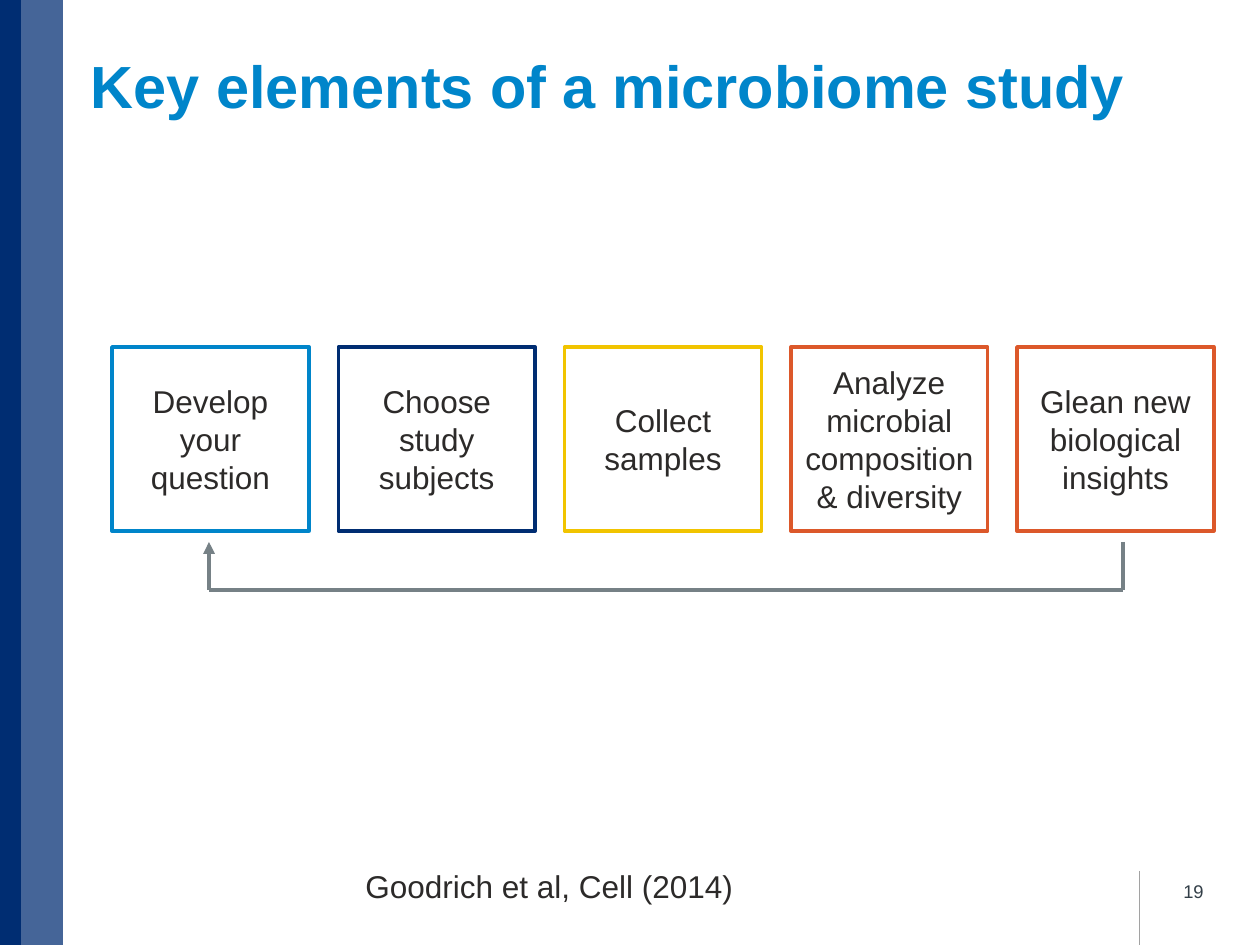
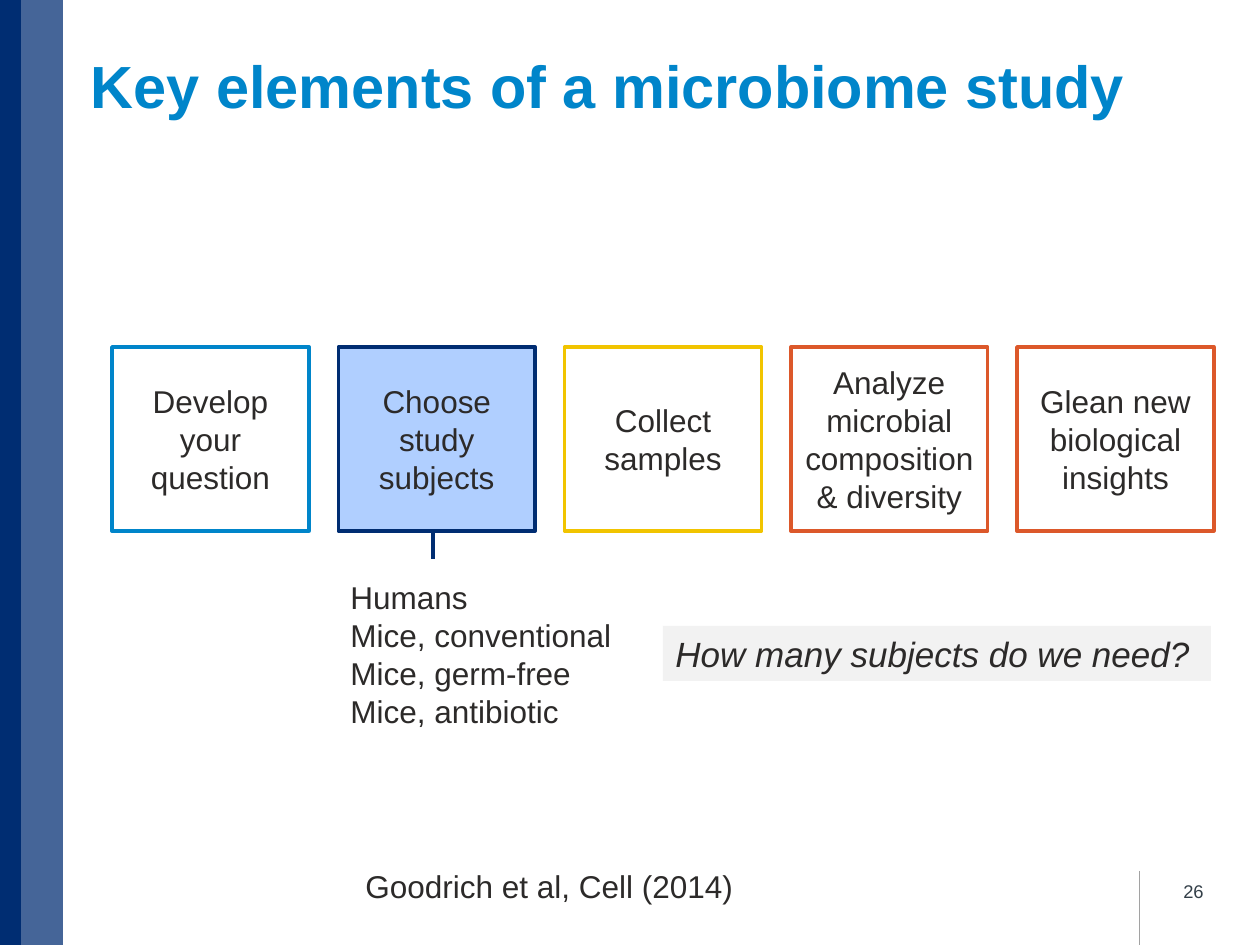
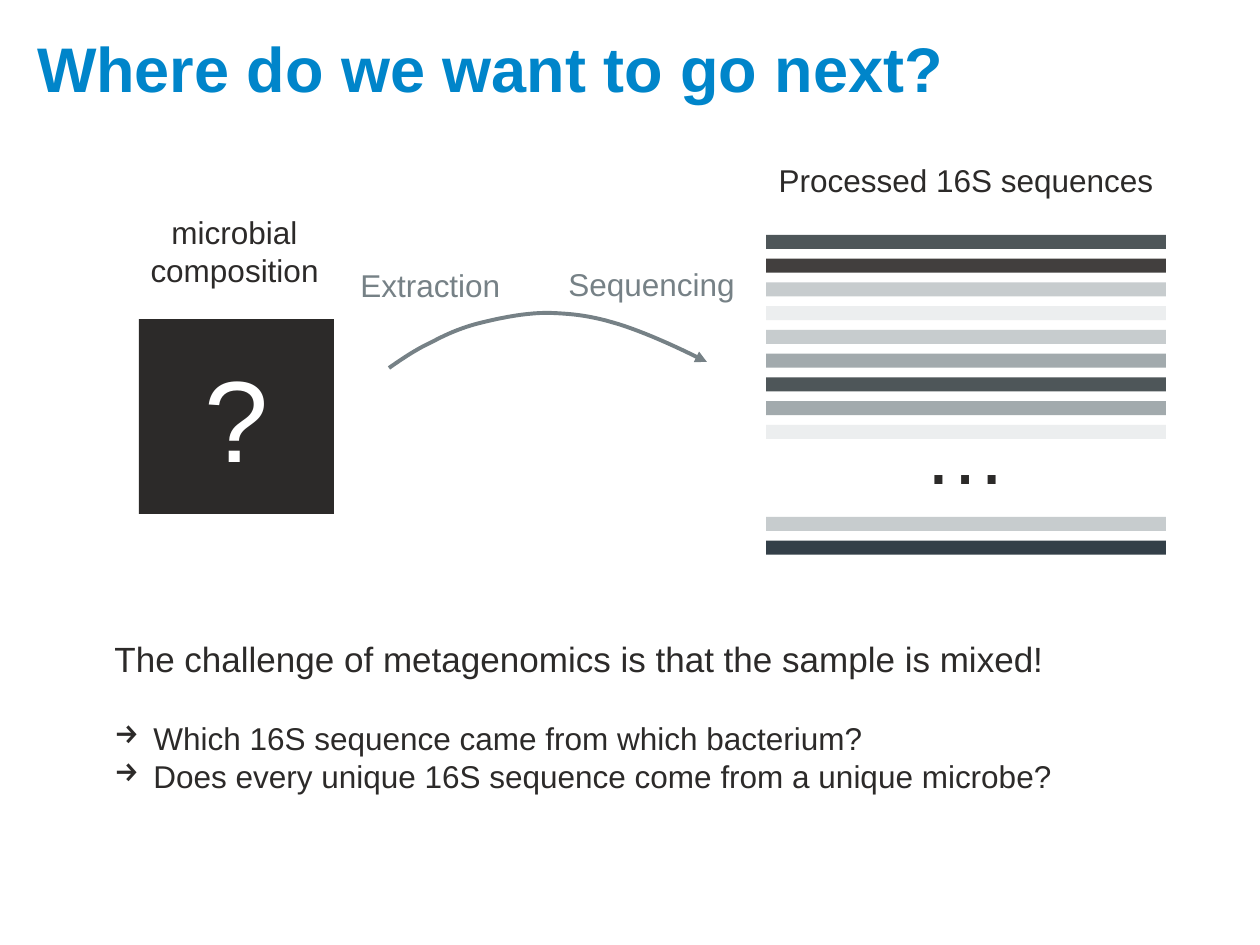
"""Build three slides on the design of a microbiome study."""
import pptx
import pptx.dml.color
import pptx.enum.dml
import pptx.enum.shapes
import pptx.enum.text
import pptx.oxml.ns
import pptx.util
from lxml import etree

RGB = pptx.dml.color.RGBColor
ALIGN = pptx.enum.text.PP_ALIGN
ANCHOR = pptx.enum.text.MSO_ANCHOR
RECTANGLE = pptx.enum.shapes.MSO_SHAPE.RECTANGLE
STRAIGHT = pptx.enum.shapes.MSO_CONNECTOR.STRAIGHT
qn = pptx.oxml.ns.qn
Pt = pptx.util.Pt

FONT = "Arial"
BLUE = RGB(0x00, 0x85, 0xCA)
NAVY = RGB(0x00, 0x2D, 0x72)
GOLD = RGB(0xF1, 0xC4, 0x00)
ORANGE = RGB(0xDC, 0x58, 0x2A)
PALE_BLUE = RGB(0xB0, 0xCF, 0xFF)
INK = RGB(0x2C, 0x2A, 0x29)
SLATE = RGB(0x33, 0x3F, 0x48)
GRAY = RGB(0x76, 0x81, 0x86)
RULE_GRAY = RGB(0xA2, 0xA2, 0xA2)
PANEL = RGB(0xF2, 0xF2, 0xF2)
WHITE = RGB(0xFF, 0xFF, 0xFF)
DARK = RGB(0x4E, 0x56, 0x59)
CHARCOAL = RGB(0x42, 0x3F, 0x3E)
SILVER = RGB(0xC7, 0xCC, 0xCE)
MIST = RGB(0xEC, 0xEE, 0xEF)
STEEL = RGB(0xA2, 0xAA, 0xAD)

STUDY_TITLE = "Key elements of a microbiome study"
CITATION = "Goodrich et al, Cell (2014)"
STEPS = [
    ("Develop your question", BLUE),
    ("Choose study subjects", NAVY),
    ("Collect samples", GOLD),
    ("Analyze microbial composition & diversity", ORANGE),
    ("Glean new biological insights", ORANGE),
]
SUBJECTS = ["Humans", "Mice, conventional", "Mice, germ-free", "Mice, antibiotic"]
SUBJECT_QUESTION = "How many subjects do we need?"
NEXT_TITLE = "Where do we want to go next?"
CHALLENGE = "The challenge of metagenomics is that the sample is mixed!"
OPEN_QUESTIONS = [
    "Which 16S sequence came from which bacterium?",
    "Does every unique 16S sequence come from a unique microbe?",
]
SEQUENCE_GROUPS = [
    (235, [DARK, CHARCOAL, SILVER, MIST, SILVER, STEEL, DARK, STEEL, MIST]),
    (517, [SILVER, SLATE]),
]
SEQUENCE_PITCH = 23.75
ARC_START = (389, 368)
ARC_CURVES = [
    ((402, 359), (415, 350), (430, 343)),
    ((445, 335), (460, 328), (480, 323)),
    ((500, 318), (529, 312), (552, 313)),
    ((575, 314), (592, 316), (618, 324)),
    ((644, 332), (675, 346), (707, 362)),
]
ARC_STEPS = 12
RETURN_PATH = [(1123, 542), (1123, 590), (209, 590), (209, 542)]
SLIDE_SIZE = (1260, 945)
STEP_LEFT, STEP_LAST, STEP_TOP, STEP_WIDTH, STEP_HEIGHT = 112, 1017, 347, 197, 184


def px(length):
    """Turn a length in px into EMU."""
    return pptx.util.Emu(round(length * 914400 / 126))


def write(frame, lines, size=18, color=INK, align=ALIGN.LEFT, bold=False, italic=False):
    """Fill a text frame with one paragraph per line."""
    for number, line in enumerate(lines):
        paragraph = frame.paragraphs[0] if number == 0 else frame.add_paragraph()
        paragraph.alignment = align
        run = paragraph.add_run()
        run.text = line
        font = run.font
        font.name, font.size, font.bold, font.italic = FONT, Pt(size), bold, italic
        font.color.rgb = color


def add_label(slide, box, lines, wrap=False, anchor=ANCHOR.TOP, **style):
    """Add a text box and return its frame."""
    frame = slide.shapes.add_textbox(*map(px, box)).text_frame
    frame.word_wrap = wrap
    frame.vertical_anchor = anchor
    write(frame, lines, **style)
    return frame


def add_box(slide, box, fill=None, outline=None):
    """Add a flat rectangle with an optional fill and outline."""
    shape = slide.shapes.add_shape(RECTANGLE, *map(px, box))
    shape.shadow.inherit = False
    if fill is None:
        shape.fill.background()
    else:
        shape.fill.solid()
        shape.fill.fore_color.rgb = fill
    if outline is None:
        shape.line.fill.background()
    else:
        shape.line.color.rgb = outline
        shape.line.width = Pt(2)
    return shape


def style_line(shape, color, width, arrow=False):
    """Colour a line and give it an arrowhead at its end if wanted."""
    shape.line.color.rgb = color
    shape.line.width = Pt(width)
    if arrow:
        outline = shape._element.spPr.find(qn("a:ln"))
        etree.SubElement(outline, qn("a:tailEnd"), type="triangle")


def add_line(slide, start, end, color=GRAY, width=2.25, arrow=False):
    """Add a straight line without a shadow."""
    line = slide.shapes.add_connector(STRAIGHT, *map(px, (*start, *end)))
    style_line(line, color, width, arrow)
    etree.SubElement(line._element.spPr, qn("a:effectLst"))


def add_titled_slide(deck, title, box, size):
    """Add a title-only slide and format its title."""
    slide = deck.slides.add_slide(deck.slide_layouts[5])
    heading = slide.shapes.title
    heading.left, heading.top, heading.width, heading.height = map(px, box)
    frame = heading.text_frame
    frame.auto_size = pptx.enum.text.MSO_AUTO_SIZE.NONE
    frame.word_wrap = True
    frame.vertical_anchor = ANCHOR.BOTTOM
    frame.margin_left = 0
    write(frame, [title], size=size, color=BLUE, bold=True)
    return slide


def add_study_slide(deck, number, active=None):
    """Add the study steps with bands, citation and slide number."""
    slide = add_titled_slide(deck, STUDY_TITLE, (91, -30, 1200, 157), 34)
    add_line(slide, (1139, 871), (1139, 945), RULE_GRAY, 0.25)
    add_box(slide, (0, 0, 21, 945), NAVY)
    light_band = add_box(slide, (21, 0, 42, 945), NAVY)
    band_color = light_band._element.spPr.find(qn("a:solidFill"))[0]
    etree.SubElement(band_color, qn("a:alpha"), val="73000")
    add_label(slide, (922, 866, 294, 50), [number], wrap=True, anchor=ANCHOR.MIDDLE,
              size=10.5, color=SLATE, align=ALIGN.RIGHT)
    add_label(slide, (353, 861, 397, 50), [CITATION])
    pitch = (STEP_LAST - STEP_LEFT) / (len(STEPS) - 1)
    for index, (step, color) in enumerate(STEPS):
        box = (STEP_LEFT + index * pitch, STEP_TOP, STEP_WIDTH, STEP_HEIGHT)
        frame = add_box(slide, box, PALE_BLUE if index == active else None, color).text_frame
        frame.word_wrap = True
        frame.vertical_anchor = ANCHOR.MIDDLE
        write(frame, [step], align=ALIGN.CENTER)
    return slide


def add_overview(deck):
    """Add the study cycle with its return arrow."""
    slide = add_study_slide(deck, "19")
    for start, end in zip(RETURN_PATH, RETURN_PATH[1:]):
        add_line(slide, start, end, arrow=end == RETURN_PATH[-1])


def add_subjects(deck):
    """Add the step about choosing subjects."""
    slide = add_study_slide(deck, "26", active=1)
    add_line(slide, (433, 531), (433, 559), NAVY)
    add_label(slide, (338, 572, 289, 165), SUBJECTS)
    frame = add_box(slide, (663, 626, 548, 55), PANEL).text_frame
    frame.word_wrap = True
    frame.vertical_anchor = ANCHOR.TOP
    write(frame, [SUBJECT_QUESTION], size=20, italic=True)


def add_arc(slide):
    """Add the curved arrow from the sample to the sequences."""
    points = []
    start = ARC_START
    for first, second, end in ARC_CURVES:
        for step in range(1, ARC_STEPS + 1):
            t = step / ARC_STEPS
            points.append(tuple(
                px((1 - t) ** 3 * a + 3 * (1 - t) ** 2 * t * b + 3 * (1 - t) * t ** 2 * c + t ** 3 * d)
                for a, b, c, d in zip(start, first, second, end)))
        start = end
    builder = slide.shapes.build_freeform(*map(px, ARC_START))
    builder.add_line_segments(points, close=False)
    arc = builder.convert_to_shape()
    arc.shadow.inherit = False
    arc.fill.background()
    style_line(arc, GRAY, 2.25, arrow=True)


def add_next(deck):
    """Add the path from a mixed sample to its sequences."""
    slide = add_titled_slide(deck, NEXT_TITLE, (37, -46, 1130, 157), 36)
    for top, colors in SEQUENCE_GROUPS:
        for index, color in enumerate(colors):
            add_box(slide, (766, top + index * SEQUENCE_PITCH, 400, 14), color)
    add_label(slide, (766, 155, 400, 50), ["Processed 16S sequences"], wrap=True,
              align=ALIGN.CENTER)
    add_label(slide, (137, 207, 195, 89), ["microbial", "composition"], align=ALIGN.CENTER)
    sample = add_box(slide, (139, 319, 195, 195), INK).text_frame
    sample.vertical_anchor = ANCHOR.MIDDLE
    write(sample, ["?"], size=66, color=WHITE, align=ALIGN.CENTER)
    add_arc(slide)
    add_label(slide, (348, 260, 166, 50), ["Extraction"], color=GRAY)
    add_label(slide, (556, 259, 193, 50), ["Sequencing"], color=GRAY)
    add_label(slide, (911, 394, 111, 115), ["…"], size=48)
    frame = add_label(slide, (102, 631, 1087, 212), [CHALLENGE], wrap=True, size=20)
    for number, question in enumerate(OPEN_QUESTIONS):
        paragraph = frame.add_paragraph()
        properties = paragraph._p.get_or_add_pPr()
        properties.set("marL", str(px(39)))
        properties.set("indent", str(px(-39)))
        etree.SubElement(properties, qn("a:buChar"), char="→")
        if number == 0:
            paragraph.space_before = Pt(23)
        run = paragraph.add_run()
        run.text = question
        run.font.name, run.font.size = FONT, Pt(18)
        run.font.color.rgb = INK


def main():
    """Build and save the deck."""
    deck = pptx.Presentation()
    deck.slide_width, deck.slide_height = map(px, SLIDE_SIZE)
    add_overview(deck)
    add_subjects(deck)
    add_next(deck)
    deck.save("out.pptx")


if __name__ == "__main__":
    main()
